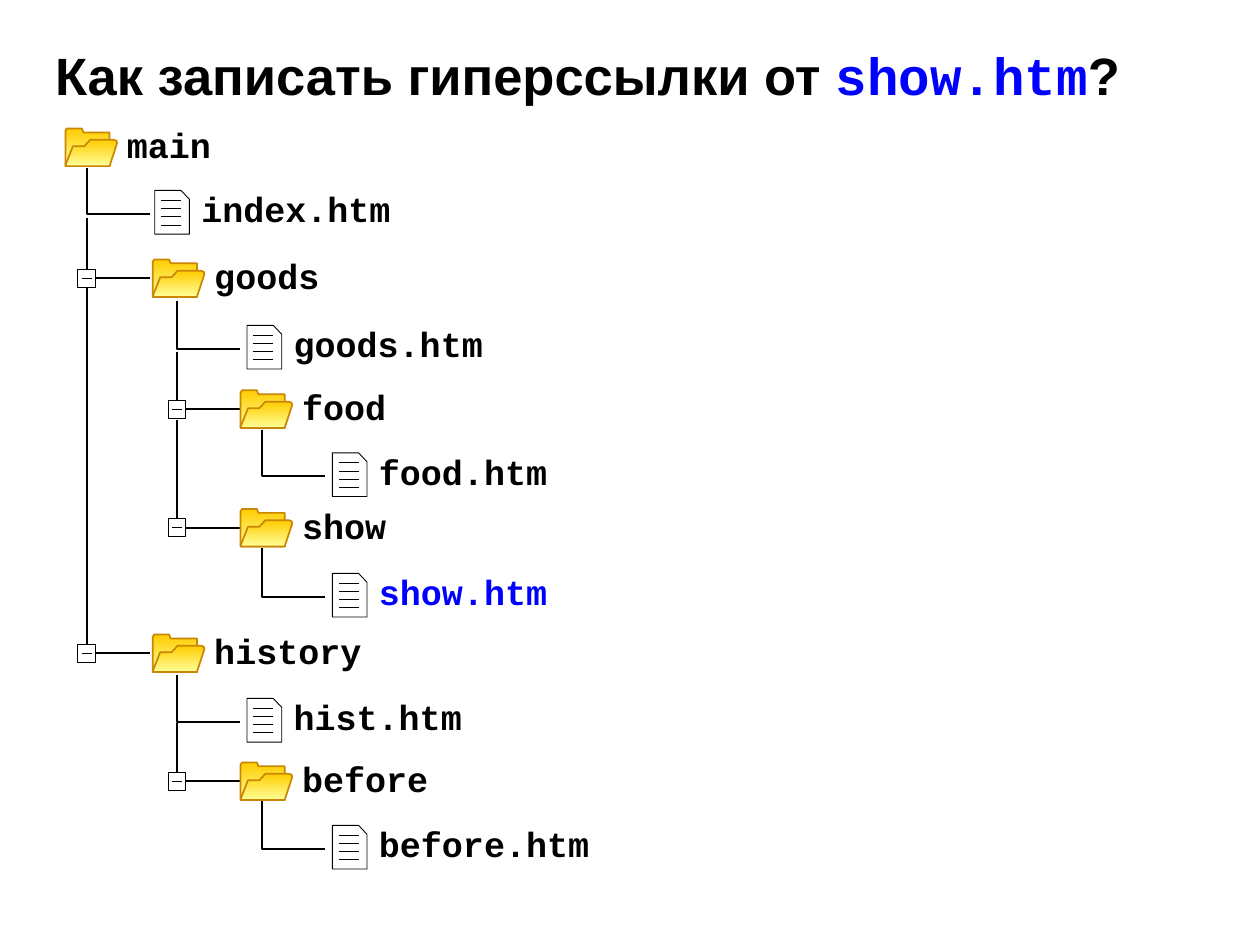
from lxml.etree import SubElement
from pptx import Presentation
from pptx.dml.color import RGBColor
from pptx.enum.shapes import MSO_CONNECTOR, MSO_SHAPE
from pptx.enum.text import MSO_ANCHOR, MSO_AUTO_SIZE, PP_ALIGN
from pptx.oxml.ns import qn
from pptx.util import Cm, Pt

COLORS = {
    "black": "000000", "white": "FFFFFF", "link": "0000FF",
    "folder top": "FFCC00", "folder bottom": "FFFF99", "folder edge": "C98703",
}
FONTS = {
    "title": {"name": "Arial", "size": Pt(30), "bold": True},
    "title code": {"name": "Courier New", "size": Pt(30), "bold": True},
    "label": {"name": "Courier New", "size": Pt(20), "bold": True},
}
TITLE_FRAME = {
    "word_wrap": True, "auto_size": MSO_AUTO_SIZE.NONE,
    "vertical_anchor": MSO_ANCHOR.MIDDLE,
    "margin_left": Cm(0.25), "margin_right": Cm(0.25),
    "margin_top": Cm(0.13), "margin_bottom": Cm(0.13),
}
LABEL_FRAME = {
    "word_wrap": True, "auto_size": MSO_AUTO_SIZE.NONE,
    "vertical_anchor": MSO_ANCHOR.TOP,
    "margin_left": 0, "margin_right": 0, "margin_top": 0, "margin_bottom": 0,
}

# Outlines in cm, relative to the top left corner of each icon
FOLDER_BACK = [(0, 0.76), (0, 0.05), (0.03, 0), (0.33, 0), (0.36, 0.08),
               (0.89, 0.08), (0.89, 0.76)]
FOLDER_FRONT = [(0, 0.74), (0.15, 0.36), (0.38, 0.36), (0.5, 0.23), (0.98, 0.23),
                (1.03, 0.25), (1.04, 0.3), (0.89, 0.76), (0.03, 0.76)]
PAGE = [(0, 0.88), (0, 0), (0.53, 0), (0.7, 0.18), (0.7, 0.88)]

# Horizontal places by level of the tree, in cm
FOLDER_LEFT = [1.32, 3.08, 4.85]
FILE_LEFT = [None, 3.12, 4.98, 6.7]
BRANCH_LEFT = [None, 1.75, 3.57, 5.28]
BRANCH_WIDTH = 1.27
BRANCH_DROP = {"folder": 0.38, "file": 0.47}

# Kind, name, level, top of the icon, top of the branch leading to it
TREE = [
    ("folder", "main", 0, 2.59, None),
    ("file", "index.htm", 1, 3.84, 3.38),
    ("folder", "goods", 1, 5.23, 4.39),
    ("file", "goods.htm", 2, 6.56, 6.07),
    ("folder", "food", 2, 7.87, 7.09),
    ("file", "food.htm", 3, 9.13, 8.66),
    ("folder", "show", 2, 10.26, 8.46),
    ("file", "show.htm", 3, 11.56, 11.05),
    ("folder", "history", 1, 12.79, 5.74),
    ("file", "hist.htm", 2, 14.08, 13.6),
    ("folder", "before", 2, 15.37, 14.57),
    ("file", "before.htm", 3, 16.64, 16.15),
]
CURRENT_FILE = "show.htm"


def set_values(target, values):
    for name, value in values.items():
        setattr(target, name, value)


def rgb(color):
    return RGBColor.from_string(COLORS[color])


class TreeSlide:
    def __init__(self, slide):
        self.slide = slide
        self.shapes = slide.shapes

    def run(self, paragraph, text, style, color="black"):
        run = paragraph.add_run()
        run.text = text
        set_values(run.font, FONTS[style])
        run.font.color.rgb = rgb(color)

    def edge(self, shape, color, width):
        shape.line.color.rgb = rgb(color)
        shape.line.width = Pt(width)

    def title(self, runs):
        shape = self.shapes.title
        set_values(shape, {"left": Cm(0.86), "top": Cm(0.84),
                           "width": Cm(23.27), "height": Cm(1.32)})
        set_values(shape.text_frame, TITLE_FRAME)
        paragraph = shape.text_frame.paragraphs[0]
        paragraph.alignment = PP_ALIGN.LEFT
        for text, style, color in runs:
            self.run(paragraph, text, style, color)

    def outline(self, left, top, points, color="black", width=1.0, close=True):
        places = [(Cm(left + x), Cm(top + y)) for x, y in points]
        builder = self.shapes.build_freeform(*places[0])
        builder.add_line_segments(places[1:], close=close)
        shape = builder.convert_to_shape()
        shape.shadow.inherit = False
        shape.fill.background()
        self.edge(shape, color, width)
        return shape

    def line(self, left, top, length, width):
        connector = self.shapes.add_connector(
            MSO_CONNECTOR.STRAIGHT, Cm(left), Cm(top), Cm(left + length), Cm(top))
        self.edge(connector, "black", width)
        SubElement(connector._element.spPr, qn("a:effectLst"))

    def label(self, left, top, width, text):
        box = self.shapes.add_textbox(Cm(left), Cm(top), Cm(width), Cm(0.94))
        set_values(box.text_frame, LABEL_FRAME)
        paragraph = box.text_frame.paragraphs[0]
        paragraph.space_after = Pt(10)
        self.run(paragraph, text, "label", "link" if text == CURRENT_FILE else "black")

    def branch(self, left, top, bottom):
        height = bottom - top
        self.outline(left, top, [(0, 0), (0, height), (BRANCH_WIDTH, height)], close=False)

    def toggle(self, center, middle):
        box = self.shapes.add_shape(MSO_SHAPE.RECTANGLE, Cm(center - 0.18),
                                    Cm(middle - 0.18), Cm(0.36), Cm(0.36))
        box.shadow.inherit = False
        box.fill.solid()
        box.fill.fore_color.rgb = rgb("white")
        self.edge(box, "black", 0.5)
        self.line(center - 0.1, middle, 0.2, 0.75)

    def folder(self, left, top, name):
        for points in (FOLDER_BACK, FOLDER_FRONT):
            shape = self.outline(left, top, points, "folder edge")
            shape.fill.gradient()
            shape.fill.gradient_angle = 270
            for stop, color in zip(shape.fill.gradient_stops, ("folder top", "folder bottom")):
                stop.color.rgb = rgb(color)
        self.label(left + 1.24, top - 0.09, 3.38, name)

    def file(self, left, top, name):
        self.outline(left, top, PAGE, width=0.5)
        for row in range(4):
            self.line(left + 0.13, top + 0.2 + row * 0.165, 0.4, 0.5)
        self.label(left + 0.94, top - 0.05, 5.18, name)


def main():
    presentation = Presentation()
    presentation.slide_width, presentation.slide_height = Cm(25.4), Cm(19.05)
    tree = TreeSlide(presentation.slides.add_slide(presentation.slide_layouts[5]))

    # Title
    tree.title([("Как записать гиперссылки от ", "title", "black"),
                ("show.htm", "title code", "link"), ("?", "title", "black")])

    # Branches lie behind the icons
    for kind, name, level, top, branch_top in TREE:
        if level:
            tree.branch(BRANCH_LEFT[level], branch_top, top + BRANCH_DROP[kind])

    # Folders and files with their names
    for kind, name, level, top, branch_top in TREE:
        if kind == "file":
            tree.file(FILE_LEFT[level], top, name)
        else:
            tree.folder(FOLDER_LEFT[level], top, name)
            if level:
                tree.toggle(BRANCH_LEFT[level], top + BRANCH_DROP[kind])

    presentation.save("out.pptx")


if __name__ == "__main__":
    main()
